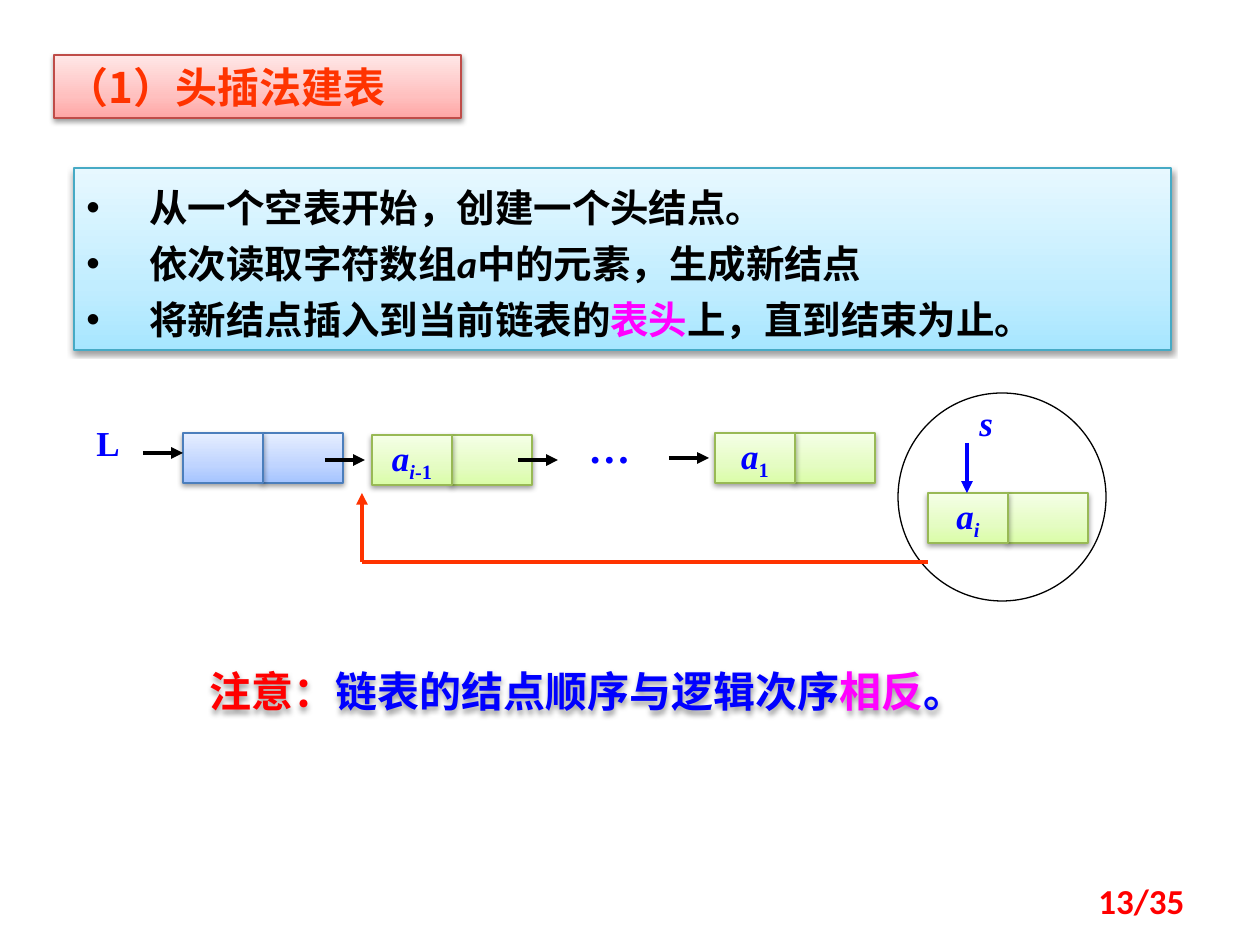
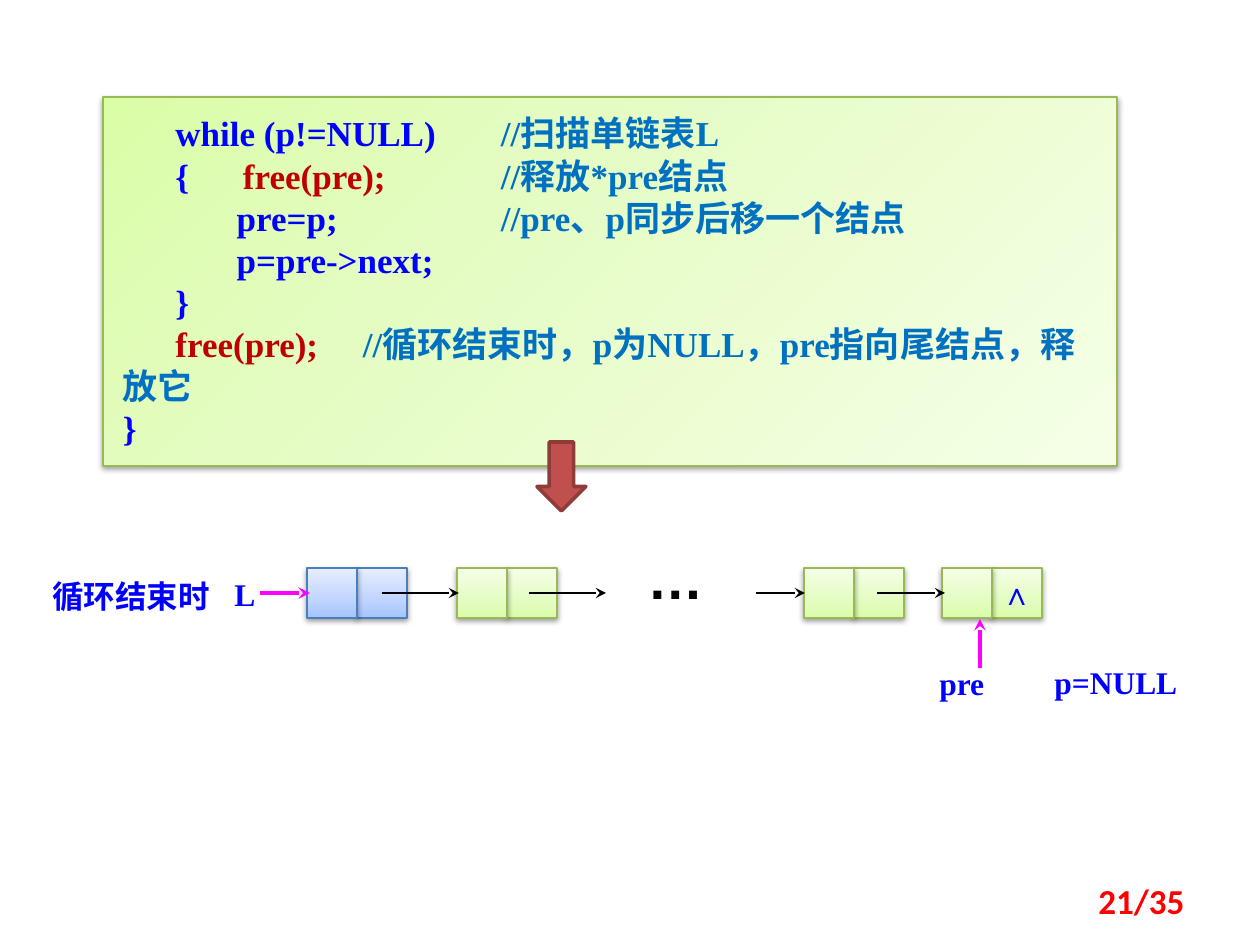
from pptx import Presentation
from pptx.dml.color import RGBColor
from pptx.enum.shapes import MSO_CONNECTOR, MSO_SHAPE
from pptx.enum.text import MSO_ANCHOR, MSO_AUTO_SIZE, PP_ALIGN
from pptx.oxml import parse_xml
from pptx.oxml.ns import nsdecls, qn
from pptx.util import Pt

RECT, OVAL, DOWN_ARROW = MSO_SHAPE.RECTANGLE, MSO_SHAPE.OVAL, MSO_SHAPE.DOWN_ARROW
STRAIGHT = MSO_CONNECTOR.STRAIGHT
LEFT, CENTER, RIGHT = PP_ALIGN.LEFT, PP_ALIGN.CENTER, PP_ALIGN.RIGHT
TOP, MIDDLE = MSO_ANCHOR.TOP, MSO_ANCHOR.MIDDLE
NO_AUTOFIT = MSO_AUTO_SIZE.NONE

PX_PER_INCH = 126
TITLE_ONLY, BLANK = 5, 6

BLACK, BLUE, RED, ORANGE = "000000", "0000FF", "FF0000", "FF3300"
MAGENTA, COMMENT, DARK_RED = "FF00FF", "0070C0", "C00000"
SERIF, SANS, CHINESE = "Times New Roman", "Calibri", "Noto Sans CJK SC"

# Gradient colours at 0, 35 and 100 percent, then the outline
CYAN_BOX = ("A7E6FF", "C1EDFF", "E7F8FF", "46AAC5")
BLUE_BOX = ("A4C4FF", "BFD4FF", "E6EEFF", "4B7EBC")
GREEN_BOX = ("DAFDA7", "E4FCC2", "F5FFE7", "98B955")
PINK_BOX = ("FFA6A5", "FFC0BF", "FFE7E7", "BF4C48")


def px(length):
    return round(length * 914400 / PX_PER_INCH)


def rgb(value):
    return RGBColor.from_string(value)


def add_xml(parent, markup):
    parent.append(parse_xml(markup.replace(">", f" {nsdecls('a')}>", 1)))


def has_chinese(text):
    return any("一" <= char <= "龥" for char in text)


class SlideBuilder:
    """Holds the deck, its style and the slide being drawn."""

    def __init__(self):
        self.deck = Presentation()
        self.deck.slide_width, self.deck.slide_height = px(1260), px(945)
        self.page = None

    def new_page(self, layout, number):
        self.page = self.deck.slides.add_slide(self.deck.slide_layouts[layout])
        self.label(903, 876, 294, 50, [(number, RED)], 20, SANS, RIGHT)

    def set_text(self, shape, lines, size, font=SERIF, align=LEFT, anchor=MIDDLE, spacing=None):
        """Each line is a list of spans: text, colour and optional style (i italic, _ subscript)."""
        frame = shape.text_frame
        frame.word_wrap = True
        frame.auto_size = NO_AUTOFIT
        frame.vertical_anchor = anchor
        for index, spans in enumerate(lines):
            para = frame.add_paragraph() if index else frame.paragraphs[0]
            para.alignment = align
            if spacing:
                para.line_spacing = Pt(spacing)
            for text, colour, *style in spans:
                span = para.add_run()
                span.text = text
                self.format_span(span, size, font, colour, "".join(style))
        return frame

    def format_span(self, span, size, font, colour, style):
        span.font.size, span.font.name = Pt(size), font
        span.font.bold, span.font.italic = True, "i" in style
        span.font.color.rgb = rgb(colour)
        properties = span.font._element
        if "_" in style:
            properties.set("baseline", "-25000")
        if has_chinese(span.text):
            add_xml(properties, f'<a:ea typeface="{CHINESE}"></a:ea>')

    def soft_shadow(self, shape):
        shape.shadow.inherit = False
        effects = shape.element.spPr.find(qn("a:effectLst"))
        add_xml(effects, '<a:outerShdw blurRad="40000" dist="20000" dir="5400000" rotWithShape="0">'
                '<a:srgbClr val="000000"><a:alpha val="38000"/></a:srgbClr></a:outerShdw>')

    def paint(self, shape, colours, angle=270):
        """Give a shape the shared gradient, thin outline and shadow."""
        *stops, outline = colours
        shape.fill.background()
        stop_xml = "".join(
            f'<a:gs pos="{position}000"><a:srgbClr val="{colour}"/></a:gs>'
            for position, colour in zip((0, 35, 100), stops))
        properties = shape.element.spPr
        properties.replace(properties.find(qn("a:noFill")), parse_xml(
            f'<a:gradFill {nsdecls("a")} rotWithShape="1"><a:gsLst>{stop_xml}</a:gsLst>'
            f'<a:lin ang="{angle * 60000}" scaled="0"/></a:gradFill>'))
        shape.line.color.rgb = rgb(outline)
        shape.line.width = Pt(0.75)
        self.soft_shadow(shape)

    def shape(self, kind, left, top, width, height, fill=None, outline=BLACK, weight=0.75):
        shape = self.page.shapes.add_shape(kind, px(left), px(top), px(width), px(height))
        shape.shadow.inherit = False
        if fill:
            shape.fill.solid()
            shape.fill.fore_color.rgb = rgb(fill)
        else:
            shape.fill.background()
        shape.line.color.rgb = rgb(outline)
        shape.line.width = Pt(weight)
        return shape

    def panel(self, left, top, width, height, colours, angle=270):
        box = self.shape(RECT, left, top, width, height)
        self.paint(box, colours, angle)
        return box

    def title(self, left, top, width, height, text):
        title = self.page.shapes.title
        title.left, title.top, title.width, title.height = map(px, (left, top, width, height))
        self.paint(title, PINK_BOX)
        self.set_text(title, [[(text, ORANGE)]], 24, CHINESE)

    def label(self, left, top, width, height, spans, size, font=SERIF, align=LEFT):
        box = self.page.shapes.add_textbox(px(left), px(top), px(width), px(height))
        self.set_text(box, [spans], size, font, align)
        return box

    def node(self, left, top, cell, colours, data=(), link=(), size=20):
        """Draw a list node: a data cell and a link cell side by side."""
        for column, spans in ((1, link), (0, data)):
            box = self.panel(left + column * cell, top, cell, 50, colours)
            if spans:
                self.set_text(box, [spans], size, align=CENTER).word_wrap = False

    def line(self, start, end, colour=BLACK, weight=2.25, head=None):
        line = self.page.shapes.add_connector(STRAIGHT, *map(px, (*start, *end)))
        line.line.color.rgb = rgb(colour)
        line.line.width = Pt(weight)
        properties = line.element.spPr
        if head:
            add_xml(properties.find(qn("a:ln")), f'<a:tailEnd type="{head}"></a:tailEnd>')
        add_xml(properties, "<a:effectLst></a:effectLst>")


def head_insertion(deck):
    deck.new_page(TITLE_ONLY, "13/35")
    deck.title(54, 55, 407, 63, "（1）头插法建表")

    steps = [
        [("从一个空表开始，创建一个头结点。", BLACK)],
        [("依次读取字符数组", BLACK), ("a", BLACK, "i"), ("中的元素，生成新结点", BLACK)],
        [("将新结点插入到当前链表的", BLACK), ("表头", MAGENTA), ("上，直到结束为止。", BLACK)],
    ]
    box = deck.panel(74, 168, 1097, 182, CYAN_BOX)
    frame = deck.set_text(box, steps, 22, SANS, anchor=TOP, spacing=32)
    for para in frame.paragraphs:
        properties = para._p.get_or_add_pPr()
        properties.set("marL", str(px(63)))
        properties.set("indent", str(-px(63)))
        add_xml(properties, '<a:buFont typeface="Arial"></a:buFont>')
        add_xml(properties, '<a:buChar char="•"></a:buChar>')

    deck.shape(OVAL, 898, 393, 208, 208)
    deck.node(183, 433, 80, BLUE_BOX)
    deck.node(372, 435, 80, GREEN_BOX, [("a", BLUE, "i"), ("i", BLUE, "i_"), ("-1", BLUE, "_")])
    deck.node(715, 433, 80, GREEN_BOX, [("a", BLUE, "i"), ("1", BLUE, "_")])
    deck.node(928, 493, 80, GREEN_BOX, [("a", BLUE, "i"), ("i", BLUE, "i_")])
    for left, top in ((143, 453), (325, 460), (518, 460), (669, 458)):
        deck.line((left, top), (left + 40, top), head="triangle")
    deck.line((967, 443), (967, 493), BLUE, head="triangle")
    deck.line((362, 562), (362, 493), ORANGE, head="triangle")
    deck.line((362, 562), (928, 562), ORANGE)

    deck.label(84, 415, 69, 54, [("L", BLUE)], 20)
    deck.label(576, 415, 69, 63, [("…", BLUE)], 24)
    deck.label(967, 395, 80, 54, [("s", BLUE, "i")], 20)
    note = deck.label(197, 659, 853, 63, [
        ("注意：", RED), ("链表的结点顺序与逻辑次序", BLUE), ("相反", MAGENTA), ("。", BLUE),
    ], 24, CHINESE)
    deck.soft_shadow(note)


def destroy_list(deck):
    deck.new_page(BLANK, "21/35")
    # Tab stops, then the spans of each line
    code = [
        ((378,), [("      while (p!=NULL)\t", BLUE), ("//扫描单链表L", COMMENT)]),
        ((120, 378), [("      {\t", BLUE), ("free(pre);\t", DARK_RED), ("//释放*pre结点", COMMENT)]),
        ((378,), [("             pre=p;\t", BLUE), ("//pre、p同步后移一个结点", COMMENT)]),
        ((), [("             p=pre->next;", BLUE)]),
        ((), [("      }", BLUE)]),
        ((240,), [("      free(pre);\t", DARK_RED),
                  ("//循环结束时，p为NULL，pre指向尾结点，释放它", COMMENT)]),
        ((), [("}", BLUE)]),
    ]
    box = deck.panel(103, 97, 1014, 369, GREEN_BOX, 45)
    frame = deck.set_text(box, [spans for _, spans in code], 20, anchor=TOP, spacing=24)
    frame.margin_left = frame.margin_right = px(20)
    frame.margin_top = frame.margin_bottom = px(15)
    for para, (stops, _) in zip(frame.paragraphs, code):
        if stops:
            tabs = "".join(f'<a:tab pos="{px(stop)}" algn="l"/>' for stop in stops)
            add_xml(para._p.get_or_add_pPr(), f"<a:tabLst>{tabs}</a:tabLst>")

    deck.node(307, 568, 50, BLUE_BOX)
    deck.node(457, 568, 50, GREEN_BOX)
    deck.node(804, 568, 50, GREEN_BOX)
    deck.node(942, 568, 50, GREEN_BOX, link=[("∧", BLUE)], size=18)
    for left, right in ((382, 459), (529, 606), (756, 805), (877, 945)):
        deck.line((left, 593), (right, 593), weight=0.75, head="stealth")
    deck.line((260, 593), (310, 593), MAGENTA, head="stealth")
    deck.line((980, 668), (980, 619), MAGENTA, head="stealth")

    for text, left, top, width in (
        ("循环结束时", 40, 571, 208), ("L", 222, 569, 37),
        ("pre", 927, 658, 87), ("p=NULL", 1042, 657, 188),
    ):
        deck.label(left, top, width, 50, [(text, BLUE)], 18)
    deck.label(635, 538, 100, 79, [("…", BLACK)], 32, "Arial")
    deck.shape(DOWN_ARROW, 537, 442, 49, 69, "C0504D", "8E3B39", 2)


def main():
    builder = SlideBuilder()
    head_insertion(builder)
    destroy_list(builder)
    builder.deck.save("out.pptx")


if __name__ == "__main__":
    main()
